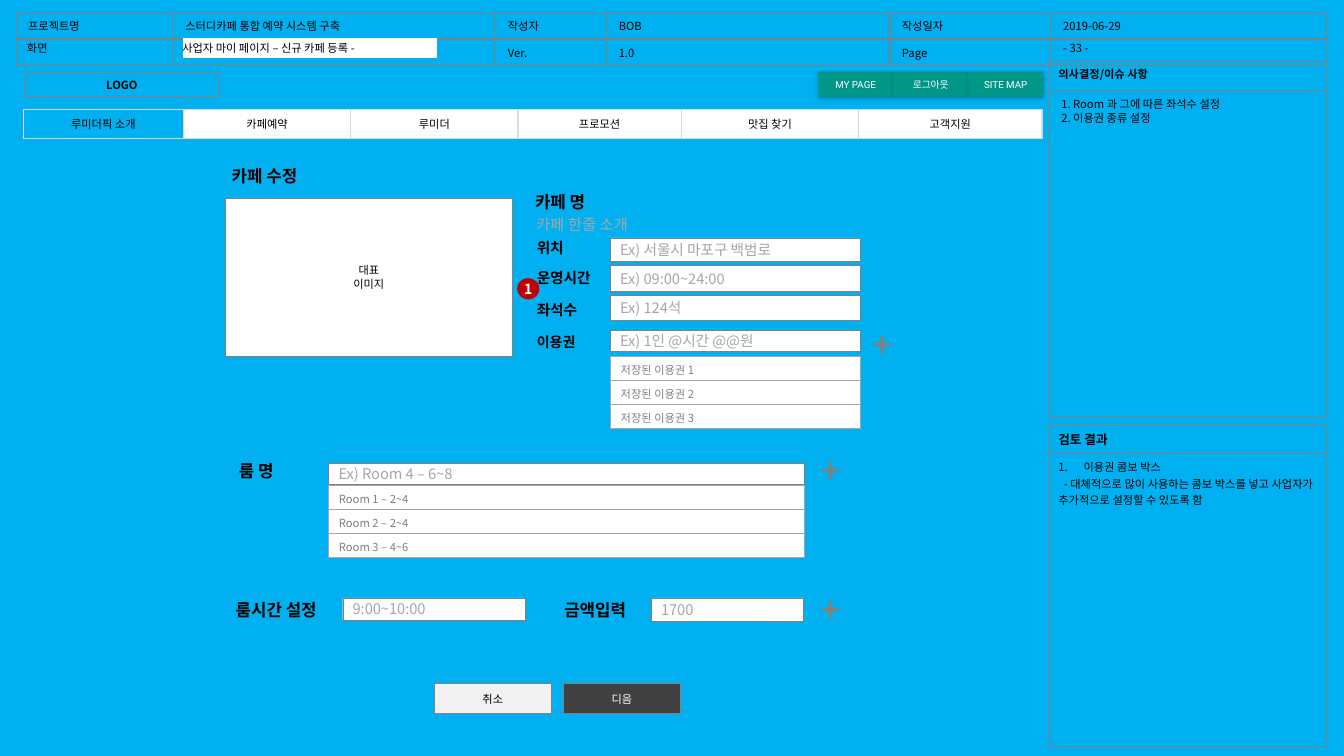
from lxml.etree import SubElement
from pptx import Presentation
from pptx.dml.color import RGBColor
from pptx.enum.shapes import MSO_SHAPE
from pptx.enum.text import MSO_ANCHOR, MSO_AUTO_SIZE, PP_ALIGN
from pptx.oxml.ns import qn
from pptx.util import Pt

COLORS = {
    "background": "00B0F0", "black": "000000", "white": "FFFFFF",
    "gray": "808080", "hint": "A6A6A6", "rule": "D9D9D9",
    "dark": "404040", "light": "F2F2F2", "teal": "009688", "red": "C00000",
}
FONT = "Noto Sans CJK KR"


def color(name):
    return RGBColor.from_string(COLORS[name])


def style_paragraph(paragraph, size, ink="black", bold=False, align=PP_ALIGN.LEFT, font=FONT):
    paragraph.alignment = align
    paragraph.font.size = Pt(size)
    paragraph.font.bold = bold
    paragraph.font.name = font
    paragraph.font.color.rgb = color(ink)
    properties = paragraph._p.get_or_add_pPr().get_or_add_defRPr()
    SubElement(properties, qn("a:ea"), typeface=font)
    if not paragraph.runs:
        SubElement(paragraph._p, qn("a:endParaRPr"), sz=str(int(size * 100)))


def write(frame, text, size, **style):
    """Fill a text frame, one paragraph for each line of text."""
    for index, line in enumerate(text.split("\n")):
        paragraph = frame.add_paragraph() if index else frame.paragraphs[0]
        if line:
            paragraph.add_run().text = line
        style_paragraph(paragraph, size, **style)


def add_label(slide, left, top, width, height, text, size, grow=True, wrap=True,
              anchor=MSO_ANCHOR.TOP, **style):
    frame = slide.shapes.add_textbox(Pt(left), Pt(top), Pt(width), Pt(height)).text_frame
    frame.word_wrap = wrap
    frame.vertical_anchor = anchor
    frame.auto_size = MSO_AUTO_SIZE.SHAPE_TO_FIT_TEXT if grow else MSO_AUTO_SIZE.NONE
    write(frame, text, size, **style)


def add_box(shapes, left, top, width, height, fill=None, line=None, line_width=0.25,
            text="", size=8, kind=MSO_SHAPE.RECTANGLE, **style):
    shape = shapes.add_shape(kind, Pt(left), Pt(top), Pt(width), Pt(height))
    shape.shadow.inherit = False
    if fill:
        shape.fill.solid()
        shape.fill.fore_color.rgb = color(fill)
    else:
        shape.fill.background()
    if line:
        shape.line.color.rgb = color(line)
        shape.line.width = Pt(line_width)
    else:
        shape.line.fill.background()
    if text:
        shape.text_frame.word_wrap = True
        shape.text_frame.vertical_anchor = MSO_ANCHOR.MIDDLE
        write(shape.text_frame, text, size, **style)
    return shape


def add_input(slide, left, top, width, height, hint):
    add_box(slide.shapes, left, top, width, height, "white", "gray",
            text=hint, size=10.5, ink="hint")


def add_menu_button(slide, left, text):
    button = add_box(slide.shapes, left, 51.1, 53.3, 18, "teal", text=text, size=7,
                     kind=MSO_SHAPE.ROUNDED_RECTANGLE, ink="white",
                     align=PP_ALIGN.CENTER, font="Roboto")
    button.adjustments[0] = 0.05
    button.text_frame.margin_left = button.text_frame.margin_right = Pt(5.8)
    effects = button._element.spPr.find(qn("a:effectLst"))
    shadow = SubElement(effects, qn("a:outerShdw"), blurRad=str(Pt(3)), dist=str(Pt(1)),
                        dir="5400000", algn="t", rotWithShape="0")
    shade = SubElement(shadow, qn("a:srgbClr"), val=COLORS["black"])
    SubElement(shade, qn("a:alpha"), val="25000")


def add_plus(slide, center_x, center_y):
    group = slide.shapes.add_group_shape()
    for width, height in ((11.6, 2.6), (2.4, 12.4)):
        add_box(group.shapes, center_x - width / 2, center_y - height / 2,
                width, height, "gray")


def border_cell(cell, name):
    properties = cell._tc.get_or_add_tcPr()
    for side in "LRTB":
        line = SubElement(properties, qn(f"a:ln{side}"), w=str(Pt(1)))
        SubElement(SubElement(line, qn("a:solidFill")), qn("a:srgbClr"), val=COLORS[name])


def add_grid(slide, left, top, widths, heights, texts, border="gray", fill=None,
             size=8, margins=(7.2, 3.6), anchor=MSO_ANCHOR.TOP, **style):
    """Add a bordered table; margins are (side, bottom)."""
    table = slide.shapes.add_table(len(heights), len(widths), Pt(left), Pt(top),
                                   Pt(sum(widths)), Pt(sum(heights))).table
    table.first_row = table.horz_banding = False
    for column, width in zip(table.columns, widths):
        column.width = Pt(width)
    for row, height, row_texts in zip(table.rows, heights, texts):
        row.height = Pt(height)
        for cell, text in zip(row.cells, row_texts):
            border_cell(cell, border)
            if fill:
                cell.fill.solid()
                cell.fill.fore_color.rgb = color(fill)
            else:
                cell.fill.background()
            cell.margin_left = cell.margin_right = Pt(margins[0])
            cell.margin_top, cell.margin_bottom = Pt(3.6), Pt(margins[1])
            cell.vertical_anchor = anchor
            write(cell.text_frame, text, size, **style)
    return table


def add_saved_list(slide, left, top, width, items):
    add_grid(slide, left, top, [width], [17.1] * len(items), [[item] for item in items],
             border="hint", fill="white", margins=(7.2, 1), ink="gray")


def add_header(slide):
    add_grid(slide, 11.5, 9, [112.3, 230.4, 79.2, 202.3, 115.2, 196.6], [17, 17],
             [["프로젝트명", "스터디카페 통합 예약 시스템 구축", "작성자", "BOB",
               "작성일자", "2019-06-29"],
              ["", "", "Ver.", "1.0", "Page", ""]], margins=(8.6, 3.6))
    add_label(slide, 752.4, 25.9, 77, 17.3, "- 33 -", 8)
    add_box(slide.shapes, 131, 27.4, 180.7, 13.7, "white", "white", 1)
    add_label(slide, 123.1, 27.4, 188.6, 14.4, "사업자 마이 페이지 – 신규 카페 등록 -", 8,
              grow=False, anchor=MSO_ANCHOR.MIDDLE)
    add_label(slide, 12.2, 25.9, 29.5, 17.3, "화면", 8, wrap=False)


def add_side_panels(slide):
    add_grid(slide, 748.8, 43.2, [198.7], [22.3, 233], [["의사결정/이슈 사항"], [""]], bold=True)
    add_label(slide, 751, 66.2, 180.7, 96.5,
              "1. Room 과 그에 따른 좌석수 설정\n2. 이용권 종류 설정", 8, grow=False)
    review = add_grid(slide, 748.8, 303.8, [198.7], [20.2, 209.5], [["검토 결과"], [""]],
                      size=9, bold=True)
    review.cell(0, 0).vertical_anchor = MSO_ANCHOR.MIDDLE
    frame = review.cell(1, 0).text_frame
    frame.clear()
    write(frame, "이용권 콤보 박스\n- 대체적으로 많이 사용하는 콤보 박스를 넣고 "
                 "사업자가 추가적으로 설정할 수 있도록 함", 8)
    for paragraph, margin, indent in zip(frame.paragraphs, (18, 0), (-18, 4)):
        properties = paragraph._p.get_or_add_pPr()
        properties.set("marL", str(Pt(margin)))
        properties.set("indent", str(Pt(indent)))
    number = SubElement(frame.paragraphs[0]._p.pPr, qn("a:buAutoNum"), type="arabicPeriod")
    frame.paragraphs[0]._p.pPr.get_or_add_defRPr().addprevious(number)


def add_navigation(slide):
    add_box(slide.shapes, 18, 52.2, 138.2, 17.3, line="gray", line_width=0.75,
            text="LOGO", bold=True, align=PP_ALIGN.CENTER)
    for index, text in enumerate(("MY PAGE", "로그아웃", "SITE MAP")):
        add_menu_button(slide, 584.6 + 53.6 * index, text)
    menu = add_grid(slide, 16.6, 78.5, [114.5, 119.5, 119.5, 116.6, 126.7, 131], [20.2],
                    [["루미더픽 소개", "카페예약", "루미더", "프로모션", "맛집 찾기", "고객지원"]],
                    border="rule", fill="white", margins=(8.6, 3.6),
                    anchor=MSO_ANCHOR.MIDDLE, align=PP_ALIGN.CENTER)
    menu.cell(0, 0).fill.background()


def add_cafe_form(slide):
    add_label(slide, 158.4, 115.2, 108.7, 21.6, "카페 수정", 12, bold=True)
    add_box(slide.shapes, 160.9, 141.5, 205.2, 113, "white", "gray",
            text="대표\n이미지", align=PP_ALIGN.CENTER)
    add_label(slide, 375.1, 133.2, 103, 21.6, "카페 명", 12, bold=True)
    add_label(slide, 375.8, 149.8, 214.6, 20.9, "카페 한줄 소개", 11, ink="hint")
    fields = (
        ("위치", 167, 10.5, 169.9, 16.9, "Ex) 서울시 마포구 백범로"),
        ("운영시간", 188.6, 10.5, 189.4, 18.7, "Ex) 09:00~24:00"),
        ("좌석수", 211, 10.5, 211, 18, "Ex) 124석"),
        ("이용권", 234.7, 10, 236.2, 14.8, "Ex) 1인 @시간 @@원"),
    )
    for label, label_top, size, top, height, hint in fields:
        add_input(slide, 435.8, top, 178.6, height, hint)
        add_label(slide, 376.4, label_top, 103, 20.5, label, size, bold=True)
    add_saved_list(slide, 436.2, 254.9, 178.6, [f"저장된 이용권 {n}" for n in (1, 2, 3)])
    add_plus(slide, 630, 246.2)
    badge = add_box(slide.shapes, 369.4, 198.7, 15.8, 15.1, "red", text="1", size=10,
                    kind=MSO_SHAPE.OVAL, ink="white", bold=True, align=PP_ALIGN.CENTER)
    badge.text_frame.margin_left = badge.text_frame.margin_right = 0


def add_room_form(slide):
    add_label(slide, 163.5, 325.4, 60.5, 21.6, "룸 명", 12, bold=True)
    add_input(slide, 234.7, 331.2, 339.8, 14.8, "Ex) Room 4 – 6~8")
    add_saved_list(slide, 234.9, 347, 339.8, ["Room 1 – 2~4", "Room 2 – 2~4", "Room 3 – 4~6"])
    add_label(slide, 161.3, 424.8, 103, 21.6, "룸시간 설정", 12, bold=True)
    add_input(slide, 244.8, 427, 130.3, 15.8, "9:00~10:00")
    add_label(slide, 396, 424.8, 103, 21.6, "금액입력", 12, bold=True)
    add_input(slide, 465.1, 427, 108.7, 16.6, "1700")
    for center_y in (336.2, 435.5):
        add_plus(slide, 593.2, center_y)
    for left, fill, ink, text in ((310.3, "light", "black", "취소"),
                                  (402.5, "dark", "white", "디음")):
        add_box(slide.shapes, left, 488.2, 83.5, 21.6, fill, "gray", text=text,
                ink=ink, align=PP_ALIGN.CENTER)


def main():
    presentation = Presentation()
    presentation.slide_width, presentation.slide_height = Pt(960), Pt(540)
    slide = presentation.slides.add_slide(presentation.slide_layouts[6])
    slide.background.fill.solid()
    slide.background.fill.fore_color.rgb = color("background")
    add_header(slide)
    add_side_panels(slide)
    add_navigation(slide)
    add_cafe_form(slide)
    add_room_form(slide)
    presentation.save("out.pptx")


if __name__ == "__main__":
    main()
